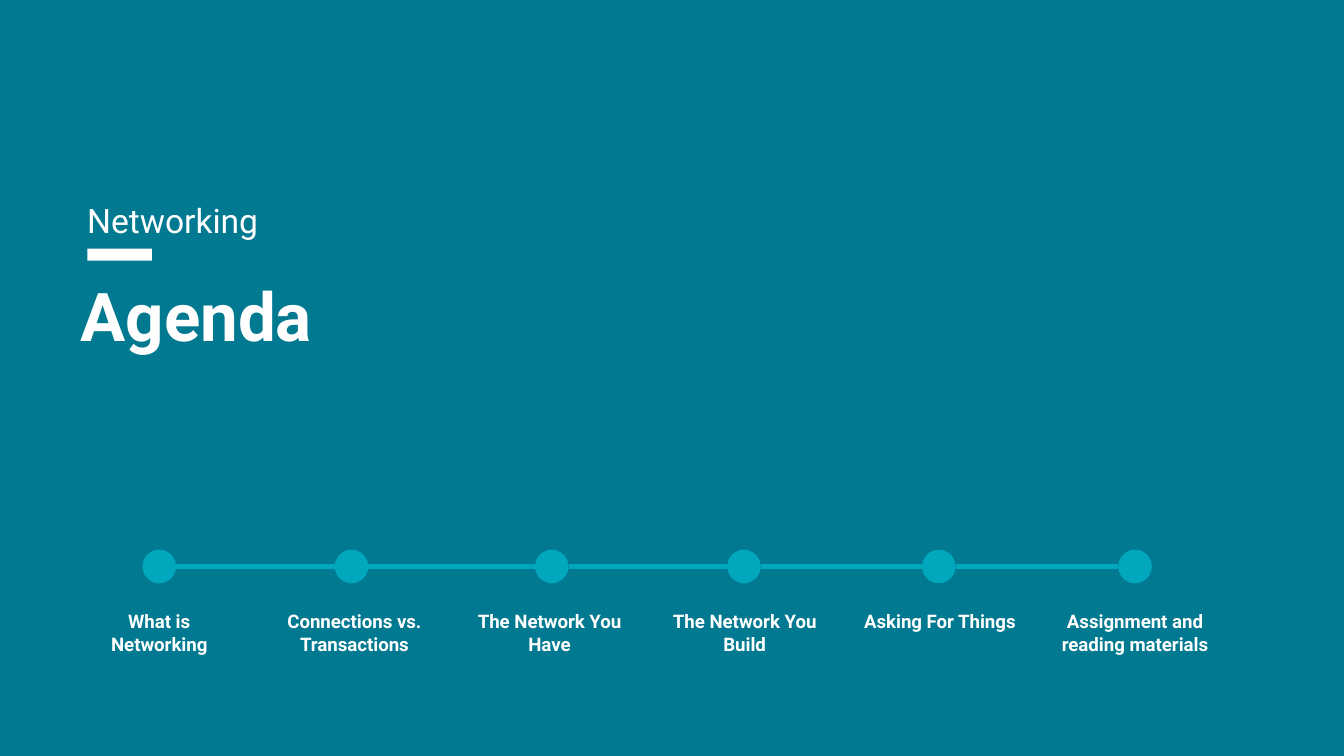
from itertools import pairwise

from lxml import etree
from pptx import Presentation
from pptx.dml.color import RGBColor
from pptx.enum.shapes import MSO_CONNECTOR, MSO_SHAPE
from pptx.enum.text import MSO_ANCHOR, MSO_AUTO_SIZE, PP_ALIGN
from pptx.oxml.ns import qn
from pptx.util import Inches, Pt

LEFT, CENTER = PP_ALIGN.LEFT, PP_ALIGN.CENTER
TOP = MSO_ANCHOR.TOP
NO_FIT = MSO_AUTO_SIZE.NONE
OVAL, RECTANGLE = MSO_SHAPE.OVAL, MSO_SHAPE.RECTANGLE
STRAIGHT = MSO_CONNECTOR.STRAIGHT

COLORS = {"background": "017991", "timeline": "00A7BD", "white": "FFFFFF"}
FONT = "Roboto"
TOPICS = [
    "What is Networking",
    "Connections vs. Transactions",
    "The Network You Have",
    "The Network You Build",
    "Asking For Things",
    "Assignment and reading materials",
]
DOT_LEFTS = [1.06, 2.49, 3.98, 5.41, 6.86, 8.32]
DOT_TOP, DOT_SIZE = 4.09, 0.25
FIRST_LABEL, LAST_LABEL = 0.52, 7.78
LABEL_STEP = (LAST_LABEL - FIRST_LABEL) / (len(TOPICS) - 1)


def write_text(box, text, size, bold, align):
    frame = box.text_frame
    frame.word_wrap = True
    frame.auto_size = NO_FIT
    frame.vertical_anchor = TOP
    frame.margin_left = frame.margin_right = Inches(0.1)
    frame.margin_top = frame.margin_bottom = Inches(0.1)
    para = frame.paragraphs[0]
    para.alignment = align
    span = para.add_run()
    span.text = text
    span.font.name = FONT
    span.font.size = Pt(size)
    span.font.bold = bold
    span.font.color.rgb = RGBColor.from_string(COLORS["white"])
    return para


def add_filled(page, kind, left, top, width, height, color):
    shape = page.shapes.add_shape(
        kind, Inches(left), Inches(top), Inches(width), Inches(height))
    shape.shadow.inherit = False
    shape.fill.solid()
    shape.fill.fore_color.rgb = RGBColor.from_string(COLORS[color])
    shape.line.fill.background()


deck = Presentation()
deck.slide_width = Inches(10)
deck.slide_height = deck.slide_width * 9 // 16
page = deck.slides.add_slide(deck.slide_layouts[5])
page.background.fill.solid()
page.background.fill.fore_color.rgb = RGBColor.from_string(COLORS["background"])

add_filled(page, RECTANGLE, 0.65, 1.85, 0.48, 0.09, "white")

title = page.shapes.title
title.left, title.top = Inches(0.5), Inches(1.94)
title.width, title.height = Inches(8.26), Inches(1.74)
write_text(title, "Agenda", 36, True, LEFT)

subtitle = page.shapes.add_textbox(
    Inches(0.55), Inches(1.34), Inches(8.16), Inches(0.45))
write_text(subtitle, "Networking", 18, False, LEFT).line_spacing = 1.15

line_y = Inches(DOT_TOP + DOT_SIZE / 2)
for start, end in pairwise(DOT_LEFTS):
    link = page.shapes.add_connector(
        STRAIGHT, Inches(start + DOT_SIZE), line_y, Inches(end), line_y)
    link.line.color.rgb = RGBColor.from_string(COLORS["timeline"])
    link.line.width = Pt(3)
    etree.SubElement(link._element.spPr, qn("a:effectLst"))

for index, (topic, dot_left) in enumerate(zip(TOPICS, DOT_LEFTS)):
    add_filled(page, OVAL, dot_left, DOT_TOP, DOT_SIZE, DOT_SIZE, "timeline")
    label = page.shapes.add_textbox(
        Inches(FIRST_LABEL + index * LABEL_STEP), Inches(4.44), Inches(1.33), Inches(1))
    write_text(label, topic, 10, True, CENTER).space_after = Pt(16)

deck.save("out.pptx")
